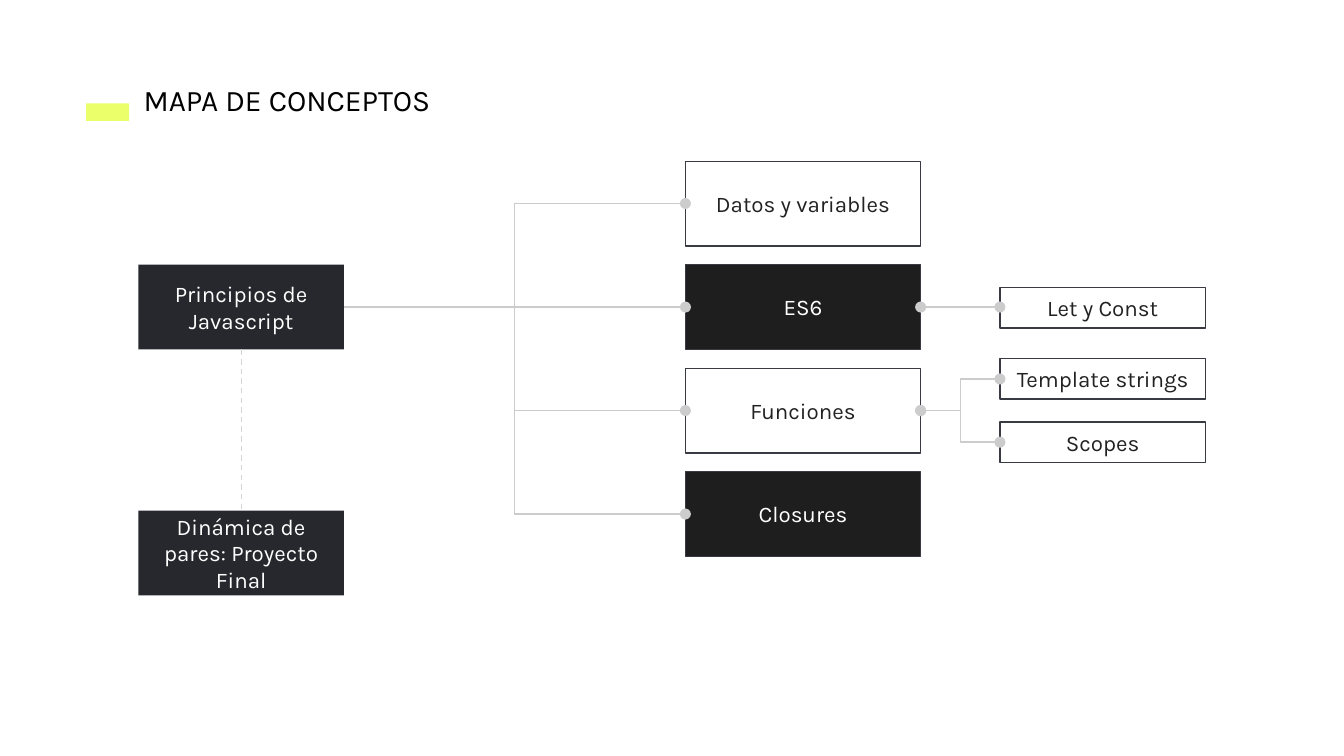
"""Builds the concept map slide, with its boxes linked by connectors."""
from lxml import etree
from pptx import Presentation
from pptx import util as u
from pptx.dml.color import RGBColor
from pptx.enum import dml, shapes, text
from pptx.oxml.ns import qn

FONT = "Karla"
TITLE = "MAPA DE CONCEPTOS"
BORDER, LINK, DASH = "393B43", "CCCCCC", "D4D4D4"
TOP, PITCH = 1.2, 0.77
LEFT, RIGHT = 1, 3

COLUMNS = {"root": (1.03, 1.53, 0.63), "topic": (5.1, 1.75, 0.63), "leaf": (7.44, 1.53, 0.3)}
STYLES = {
    "root": ("27282D", None, "FFFFFF"),
    "dark": ("1E1E1E", BORDER, "FFFFFF"),
    "open": (None, BORDER, "222222"),
    "white": ("FFFFFF", BORDER, "222222"),
}
NODES = [
    ("Principios de Javascript", "root", TOP + PITCH, "root"),
    ("Dinámica de pares: Proyecto Final", "root", 3.8, "root"),
    ("Datos y variables", "topic", TOP, "open"),
    ("ES6", "topic", TOP + PITCH, "dark"),
    ("Funciones", "topic", TOP + 2 * PITCH, "open"),
    ("Closures", "topic", TOP + 3 * PITCH, "dark"),
    ("Let y Const", "leaf", 2.14, "white"),
    ("Template strings", "leaf", 2.67, "white"),
    ("Scopes", "leaf", 3.14, "white"),
]
BRANCHES = [
    ("Principios de Javascript", ["Datos y variables", "ES6", "Funciones", "Closures"], ["tailEnd"]),
    ("ES6", ["Let y Const"], ["headEnd", "tailEnd"]),
    ("Funciones", ["Template strings", "Scopes"], ["headEnd", "tailEnd"]),
]


def rgb(value):
    return RGBColor.from_string(value)


def add_rect(page, place, fill, border=None):
    box = page.shapes.add_shape(shapes.MSO_SHAPE.RECTANGLE, *map(u.Inches, place))
    box.shadow.inherit = False
    if fill:
        box.fill.solid()
        box.fill.fore_color.rgb = rgb(fill)
    else:
        box.fill.background()
    if border:
        box.line.color.rgb = rgb(border)
        box.line.width = u.Pt(0.75)
    else:
        box.line.fill.background()
    return box


def write(box, words, size, color, align, anchor):
    frame = box.text_frame
    frame.word_wrap = True
    frame.vertical_anchor = anchor
    frame.margin_left = frame.margin_right = u.Inches(0.1)
    frame.margin_top = frame.margin_bottom = u.Inches(0.1)
    para = frame.paragraphs[0]
    para.alignment = align
    span = para.add_run()
    span.text = words
    span.font.name = FONT
    span.font.size = u.Pt(size)
    span.font.color.rgb = rgb(color)


def add_node(page, words, column, top, style):
    left, width, height = COLUMNS[column]
    fill, border, color = STYLES[style]
    box = add_rect(page, (left, top, width, height), fill, border)
    write(box, words, 12, color, text.PP_ALIGN.CENTER, text.MSO_ANCHOR.MIDDLE)
    return box


def add_link(page, start, end, color, dots=(), dash=None):
    level = abs(start[1] - end[1]) < u.Inches(0.02)
    straight = level or start[0] == end[0]
    kind = shapes.MSO_CONNECTOR.STRAIGHT if straight else shapes.MSO_CONNECTOR.ELBOW
    link = page.shapes.add_connector(kind, *start, end[0], start[1] if level else end[1])
    link.line.color.rgb = rgb(color)
    link.line.width = u.Pt(0.75)
    if dash:
        link.line.dash_style = dash
    outline = link.line._get_or_add_ln()
    for dot in dots:
        etree.SubElement(outline, qn(f"a:{dot}"), type="oval")
    etree.SubElement(link._element.spPr, qn("a:effectLst"))


def site(box, side):
    x = box.left + (box.width if side == RIGHT else 0)
    return x, box.top + box.height // 2


def main():
    deck = Presentation()
    deck.slide_width = u.Inches(10)
    deck.slide_height = deck.slide_width * 9 // 16
    page = deck.slides.add_slide(deck.slide_layouts[6])

    add_rect(page, (0.64, 0.77, 0.32, 0.13), "EAFF6A")
    title = page.shapes.add_textbox(*map(u.Inches, (0.97, 0.51, 2.69, 0.47)))
    write(title, TITLE, 16, "000000", text.PP_ALIGN.LEFT, text.MSO_ANCHOR.TOP)
    title.text_frame.auto_size = text.MSO_AUTO_SIZE.SHAPE_TO_FIT_TEXT

    boxes = {node[0]: add_node(page, *node) for node in NODES}
    for parent, children, dots in BRANCHES:
        for child in children:
            add_link(page, site(boxes[parent], RIGHT), site(boxes[child], LEFT), LINK, dots)

    upper, lower = (boxes[node[0]] for node in NODES[:2])
    middle = upper.left + upper.width // 2
    add_link(page, (middle, upper.top + upper.height), (middle, lower.top), DASH,
             dash=dml.MSO_LINE.DASH)
    deck.save("out.pptx")


if __name__ == "__main__":
    main()
